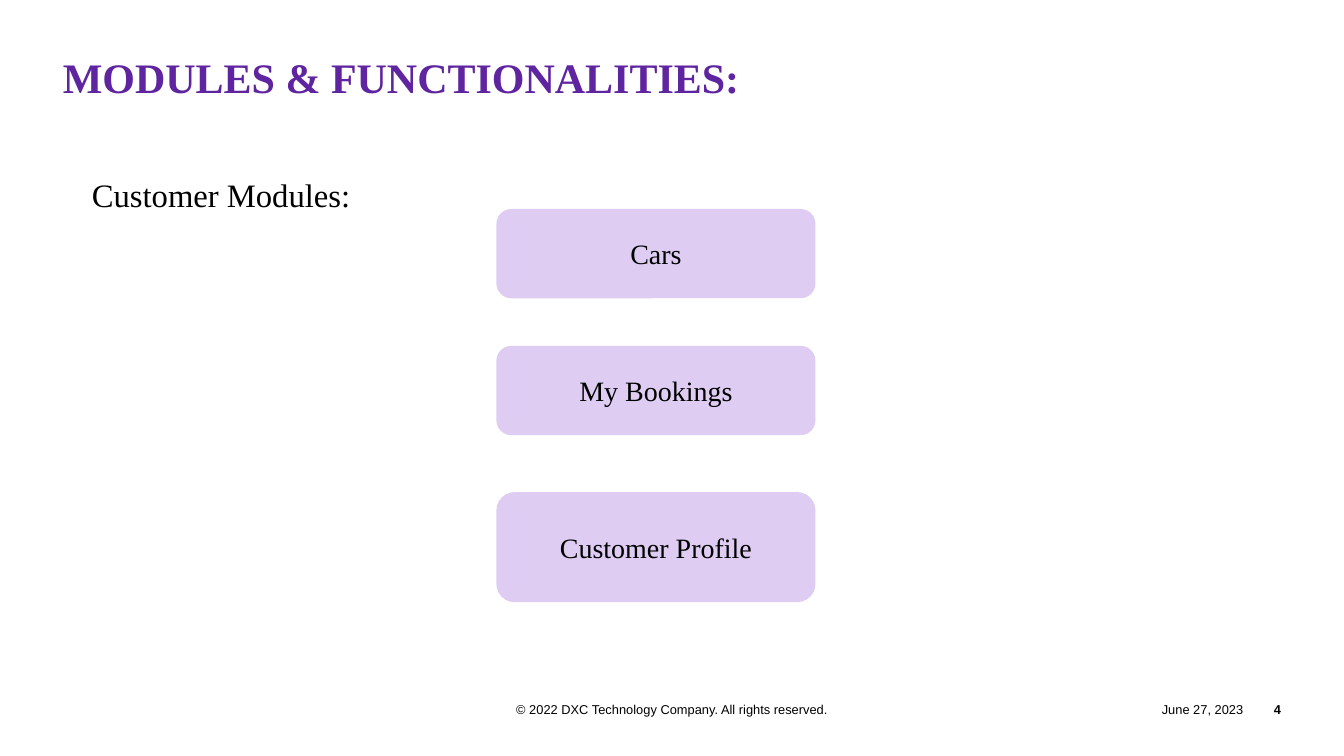
from pptx import Presentation
from pptx.dml.color import RGBColor
from pptx.enum.shapes import MSO_SHAPE as Shape
from pptx.enum.text import MSO_ANCHOR as Anchor, PP_ALIGN as Align
from pptx.util import Cm, Pt

COLORS = {"title": "5F249F", "text": "000000", "module": "DFCCF3", "page": "FFFFFF"}
SERIF, SANS = "Times New Roman", "Arial"
MODULES = [("Cars", 0, 2.7), ("My Bookings", 4.14, 2.7), ("Customer Profile", 8.56, 3.33)]
FOOTER = [
    ("© 2022 DXC Technology Company. All rights reserved.", 0, 13.97, Align.CENTER, False),
    ("June 27, 2023", 19.71, 4.55, Align.RIGHT, False),
    ("4", 24.25, 1.15, Align.RIGHT, True),
]


def write(shape, text, size, font=SERIF, color="text", bold=False,
          align=Align.LEFT, anchor=Anchor.TOP):
    """Put one formatted paragraph in a shape without margins."""
    frame = shape.text_frame
    frame.word_wrap = True
    frame.vertical_anchor = anchor
    frame.margin_left = frame.margin_right = frame.margin_top = frame.margin_bottom = 0
    paragraph = frame.paragraphs[0]
    paragraph.text = text
    paragraph.alignment = align
    paragraph.font.name = font
    paragraph.font.size = Pt(size)
    paragraph.font.bold = bold
    paragraph.font.color.rgb = RGBColor.from_string(COLORS[color])
    return paragraph


def add_title(slide, left, top, width, height):
    """Move and format the title placeholder."""
    title = slide.shapes.title
    title.left, title.top, title.width, title.height = Cm(left), Cm(top), Cm(width), Cm(height)
    paragraph = write(title, "MODULES & FUNCTIONALITIES:", 36, color="title", bold=True)
    paragraph.line_spacing = 0.85


def add_heading(slide, left, top, width, height):
    """Add the heading of the module list."""
    box = slide.shapes.add_textbox(Cm(left), Cm(top), Cm(width), Cm(height))
    write(box, "Customer Modules:", 28)


def add_modules(slide, left, top, width):
    """Stack the rounded module boxes."""
    for name, offset, height in MODULES:
        module = slide.shapes.add_shape(
            Shape.ROUNDED_RECTANGLE, Cm(left), Cm(top + offset), Cm(width), Cm(height))
        module.shadow.inherit = False
        module.fill.solid()
        module.fill.fore_color.rgb = RGBColor.from_string(COLORS["module"])
        module.line.fill.background()
        write(module, name, 24, align=Align.CENTER, anchor=Anchor.MIDDLE)


def add_footer(slide, left, top, height):
    """Add copyright, date and page number."""
    for text, offset, width, align, bold in FOOTER:
        box = slide.shapes.add_textbox(Cm(left + offset), Cm(top), Cm(width), Cm(height))
        write(box, text, 11, font=SANS, bold=bold, align=align, anchor=Anchor.MIDDLE)


def main():
    """Build and save the presentation."""
    presentation = Presentation()
    presentation.slide_width, presentation.slide_height = Cm(40.64), Cm(22.86)
    slide = presentation.slides.add_slide(presentation.slide_layouts[5])
    slide.background.fill.solid()
    slide.background.fill.fore_color.rgb = RGBColor.from_string(COLORS["page"])
    add_title(slide, 1.9, 1.78, 36.83, 3.94)
    add_heading(slide, 2.78, 5.28, 11, 1.2)
    add_modules(slide, 15.01, 6.32, 9.65)
    add_footer(slide, 13.34, 21.06, 0.76)
    presentation.save("out.pptx")


if __name__ == "__main__":
    main()
